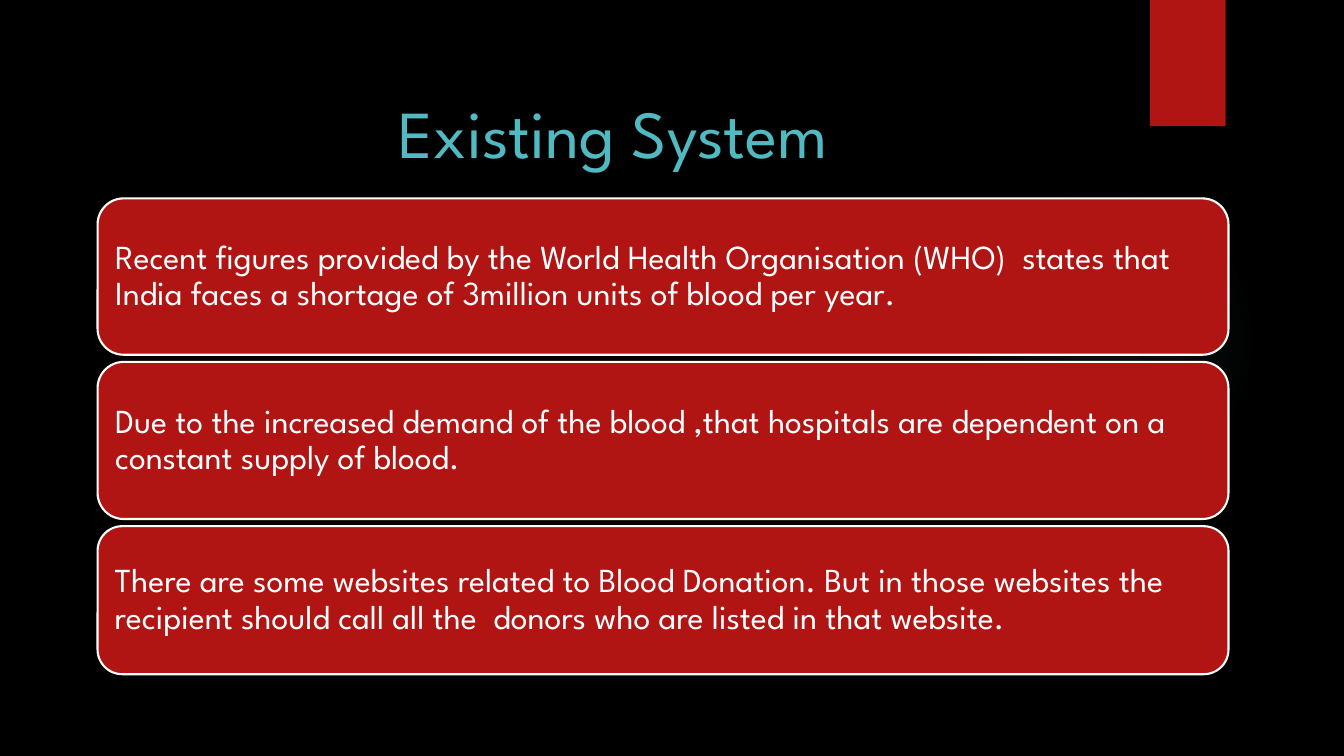
from lxml import etree
from pptx import Presentation
from pptx.dml.color import RGBColor
from pptx.enum.shapes import MSO_SHAPE as SHAPE
from pptx.enum.text import MSO_ANCHOR as ANCHOR, PP_ALIGN as ALIGN
from pptx.oxml.ns import qn
from pptx.util import Cm, Pt

FONT = "League Spartan"
COLORS = {"back": "000000", "red": "B01513", "teal": "50B9C1", "white": "FFFFFF"}
GLOW_STOPS = [(0, 7), (36, 6), (69, 0)]  # position and opacity in percent
CARD_LEFT, CARD_TOP, CARD_WIDTH, CARD_GAP = 2.46, 5, 28.5, 0.18
CARDS = [
    (3.94, "Recent figures provided by the World Health Organisation (WHO)  states that "
           "India faces a shortage of 3million units of blood per year."),
    (3.96, "Due to the increased demand of the blood ,that hospitals are dependent on a "
           "constant supply of blood."),
    (3.73, "There are some websites related to Blood Donation. But in those websites the "
           "recipient should call all the  donors who are listed in that website."),
]


def rgb(name):
    return RGBColor.from_string(COLORS[name])


def place(sp, left, top, width, height):
    sp.left, sp.top, sp.width, sp.height = Cm(left), Cm(top), Cm(width), Cm(height)


def set_text(tf, text, size=24, color="white", align=ALIGN.LEFT, spacing=None):
    tf.word_wrap = True
    tf.vertical_anchor = ANCHOR.MIDDLE
    p = tf.paragraphs[0]
    p.alignment = align
    p.line_spacing = spacing
    r = p.add_run()
    r.text = text
    r.font.name, r.font.size = FONT, Pt(size)
    r.font.color.rgb = rgb(color)


def add_box(s, kind, left, top, width, height, fill="red", line=None):
    sp = s.shapes.add_shape(kind, Cm(left), Cm(top), Cm(width), Cm(height))
    sp.shadow.inherit = False
    sp.fill.solid()
    sp.fill.fore_color.rgb = rgb(fill)
    if line:
        sp.line.color.rgb = rgb(line)
        sp.line.width = Pt(1.5)
    else:
        sp.line.fill.background()
    return sp


def add_glow(s, left, top, size):
    """Add a circle that fades out from its centre."""
    sp = add_box(s, SHAPE.OVAL, left, top, size, size, fill="teal")
    solid = sp.element.spPr.find(qn("a:solidFill"))
    grad = etree.Element(qn("a:gradFill"))
    stops = etree.SubElement(grad, qn("a:gsLst"))
    for position, opacity in GLOW_STOPS:
        stop = etree.SubElement(stops, qn("a:gs"), pos=str(position * 1000))
        color = etree.SubElement(stop, qn("a:srgbClr"), val=COLORS["teal"])
        etree.SubElement(color, qn("a:alpha"), val=str(opacity * 1000))
    focus = etree.SubElement(grad, qn("a:path"), path="circle")
    etree.SubElement(focus, qn("a:fillToRect"), l="50000", t="50000", r="50000", b="50000")
    solid.getparent().replace(solid, grad)


def add_card(s, top, height, text):
    sp = add_box(s, SHAPE.ROUNDED_RECTANGLE, CARD_LEFT, top, CARD_WIDTH, height, line="white")
    tf = sp.text_frame
    tf.margin_left = tf.margin_right = tf.margin_top = tf.margin_bottom = Cm(0.25)
    set_text(tf, text, spacing=0.9)


def main():
    prs = Presentation()
    prs.slide_width, prs.slide_height = Cm(33.87), Cm(19.05)
    s = prs.slides.add_slide(prs.slide_layouts[5])
    s.background.fill.solid()
    s.background.fill.fore_color.rgb = rgb("back")

    add_glow(s, 23.9, 4.65, 7.82)
    add_box(s, SHAPE.RECTANGLE, 28.98, 0, 1.91, 3.18)

    title = s.shapes.title
    place(title, 7.47, 2.08, 15.98, 2.46)
    set_text(title.text_frame, "Existing System", size=48, color="teal", align=ALIGN.CENTER)

    top = CARD_TOP
    for height, text in CARDS:
        add_card(s, top, height, text)
        top += height + CARD_GAP

    prs.save("out.pptx")


if __name__ == "__main__":
    main()
